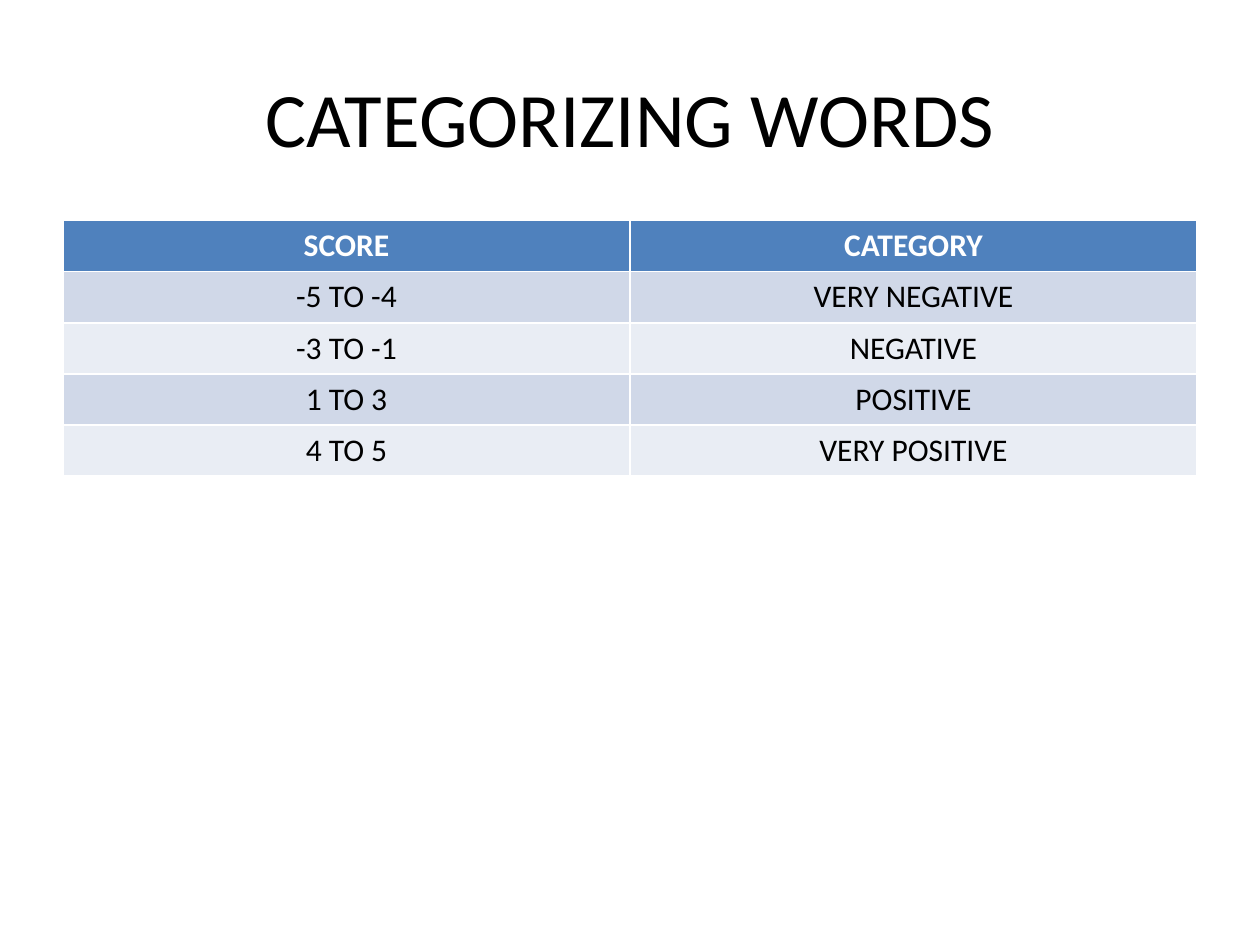
import dataclasses

import pptx
import pptx.dml.color
import pptx.enum.text
import pptx.slide
import pptx.table
import pptx.text.text
import pptx.util

Inches = pptx.util.Inches

COLORS = {
    "black": "000000",
    "white": "FFFFFF",
    "header": "4F81BD",
    "dark_band": "D0D8E8",
    "light_band": "E9EDF4",
}


@dataclasses.dataclass(frozen=True)
class ScoreRange:
    score: str
    category: str


HEADER = ScoreRange("SCORE", "CATEGORY")
RANGES = [
    ScoreRange("-5 TO -4", "VERY NEGATIVE"),
    ScoreRange("-3 TO -1", "NEGATIVE"),
    ScoreRange("1 TO 3", "POSITIVE"),
    ScoreRange("4 TO 5", "VERY POSITIVE"),
]


def rgb(name: str) -> pptx.dml.color.RGBColor:
    return pptx.dml.color.RGBColor.from_string(COLORS[name])


def write_text(frame: pptx.text.text.TextFrame, text: str, *, size: float,
               color: str = "black", bold: bool = False) -> None:
    para = frame.paragraphs[0]
    para.alignment = pptx.enum.text.PP_ALIGN.CENTER
    span = para.add_run()
    span.text = text
    span.font.name = "Calibri"
    span.font.size = pptx.util.Pt(size)
    span.font.bold = bold
    span.font.color.rgb = rgb(color)


def draw_row(table: pptx.table.Table, index: int, entry: ScoreRange, *,
             fill: str, color: str = "black", bold: bool = False) -> None:
    for column, text in enumerate((entry.score, entry.category)):
        cell = table.cell(index, column)
        cell.fill.solid()
        cell.fill.fore_color.rgb = rgb(fill)
        write_text(cell.text_frame, text, size=18, color=color, bold=bold)


def draw_title(page: pptx.slide.Slide, text: str) -> None:
    title = page.shapes.title
    title.left, title.top = Inches(0.5), Inches(0.3)
    title.width, title.height = Inches(9), Inches(1.25)
    title.text_frame.vertical_anchor = pptx.enum.text.MSO_ANCHOR.MIDDLE
    write_text(title.text_frame, text, size=44)


def draw_table(page: pptx.slide.Slide) -> None:
    row_count = len(RANGES) + 1
    table = page.shapes.add_table(
        row_count, 2, Inches(0.5), Inches(1.75), Inches(9), Inches(2.03)
    ).table
    draw_row(table, 0, HEADER, fill="header", color="white", bold=True)
    for index, entry in enumerate(RANGES, start=1):
        band = "dark_band" if index % 2 else "light_band"
        draw_row(table, index, entry, fill=band)


def main() -> None:
    deck = pptx.Presentation()
    deck.slide_width, deck.slide_height = Inches(10), Inches(7.5)
    page = deck.slides.add_slide(deck.slide_layouts.get_by_name("Title Only"))
    draw_title(page, "CATEGORIZING WORDS")
    draw_table(page)
    deck.save("out.pptx")


if __name__ == "__main__":
    main()
